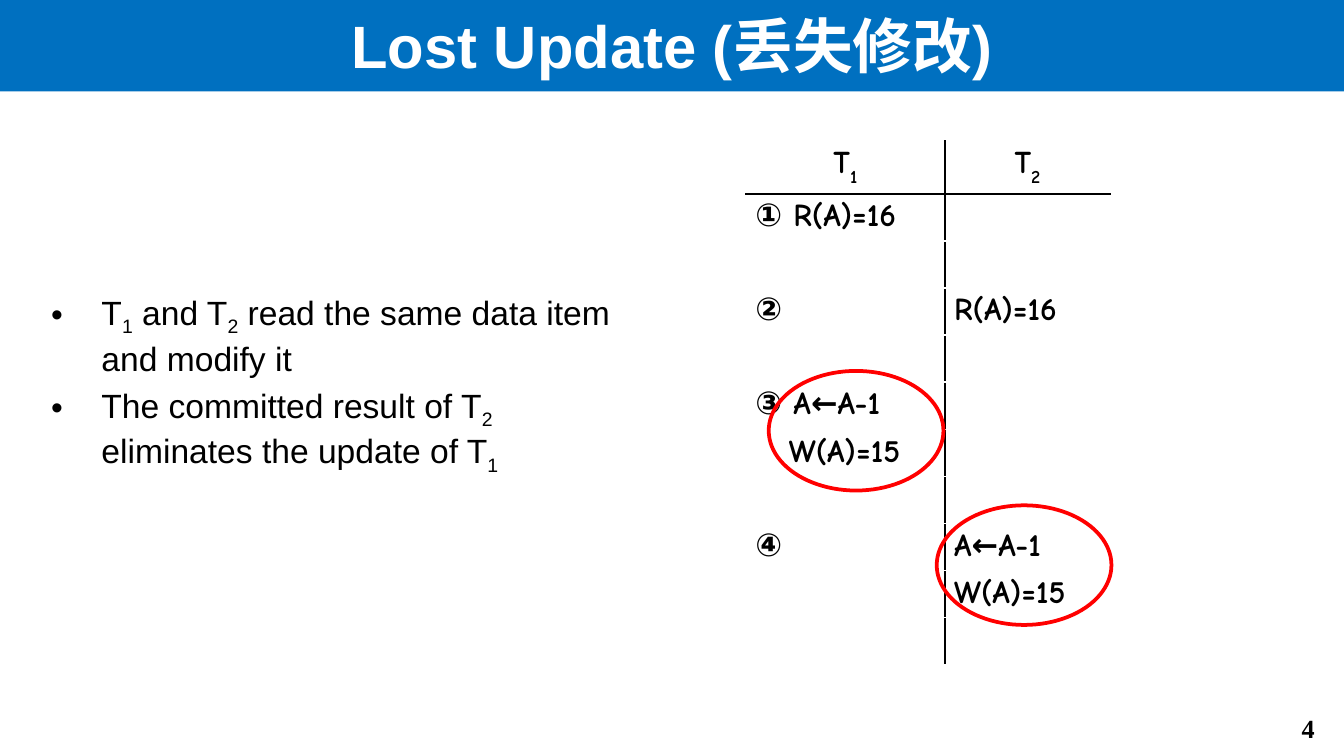
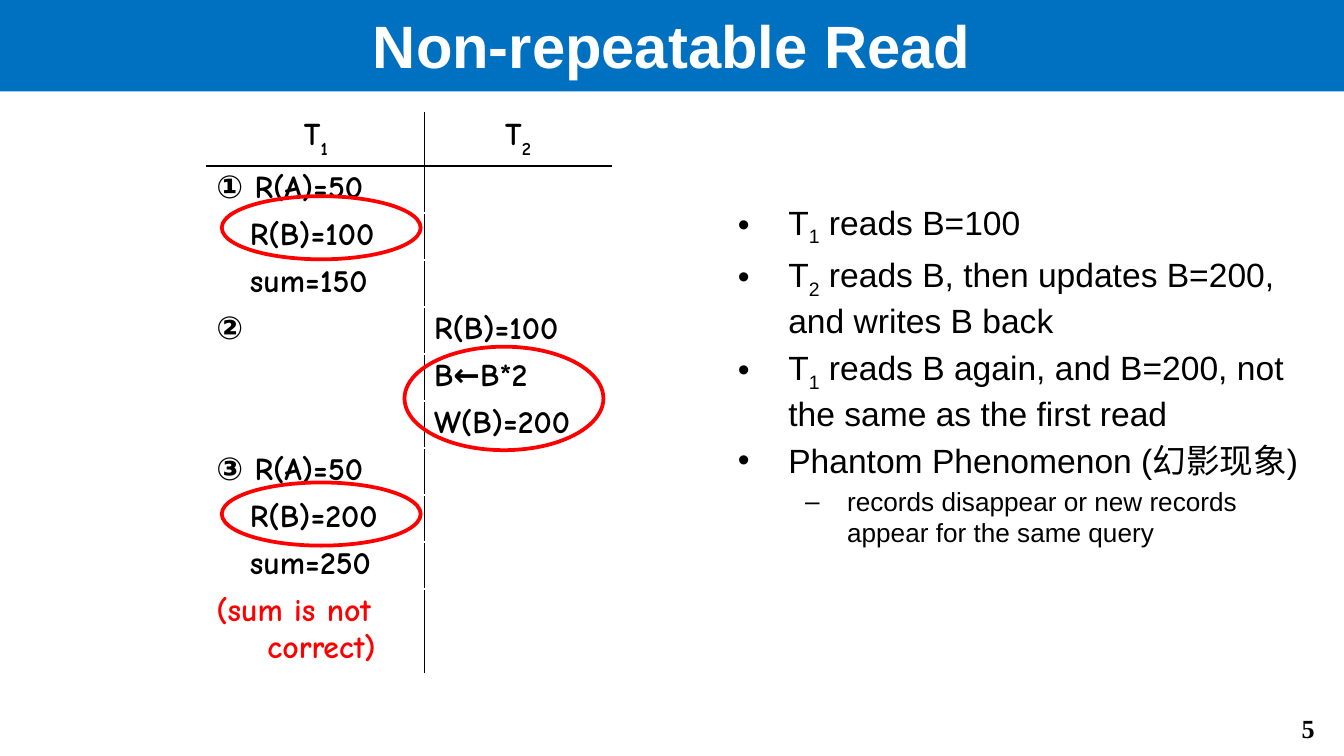
from lxml import etree
from pptx import Presentation
from pptx.dml.color import RGBColor
from pptx.enum.shapes import MSO_SHAPE
from pptx.enum.text import MSO_ANCHOR, MSO_AUTO_SIZE, PP_ALIGN
from pptx.oxml.ns import qn
from pptx.util import Inches, Pt

OVAL = MSO_SHAPE.OVAL
MIDDLE, TOP = MSO_ANCHOR.MIDDLE, MSO_ANCHOR.TOP
NO_AUTOFIT = MSO_AUTO_SIZE.NONE
LEFT, CENTER, RIGHT = PP_ALIGN.LEFT, PP_ALIGN.CENTER, PP_ALIGN.RIGHT

COLORS = {"band": "0070C0", "paper": "FFFFFF", "ink": "000000", "alert": "FF0000"}
BODY_FONT, TABLE_FONT, NUMBER_FONT = "Arial", "Comic Neue", "Times New Roman"
SLIDE_WIDTH, SLIDE_HEIGHT = 10, 10 * 9 / 16
TITLE_BOX = (0, -0.02, SLIDE_WIDTH, 0.7)
NUMBER_BOX = (9.25, 5.25, 0.63, 0.34)
ROW_HEIGHT = 0.35
HANGING, CONTINUED = (0.38, -0.38), (0.25, 0)

LOST_UPDATE = {
    "title": "Lost Update (丢失修改)",
    "number": 4,
    "body_box": (0.28, 2.12, 4.57, 1.8),
    "bullets": [
        (0, "T_1 and T_2 read the same data item and modify it"),
        (0, "The committed result of T_2 eliminates the update of T_1"),
    ],
    "schedule_box": (5.55, 1.05, 2.71, 3.85),
    "columns": (1.48, 1.23),
    "steps": [
        ("① R(A)=16", ""),
        ("", ""),
        ("②", "R(A)=16"),
        ("", ""),
        ("③ A←A-1", ""),
        ("+W(A)=15", ""),
        ("", ""),
        ("④", "A←A-1"),
        ("", "W(A)=15"),
        ("", ""),
    ],
    "rings": [(0.17, 1.71, 1.3, 0.89), (1.42, 2.71, 1.3, 0.89)],
}

NON_REPEATABLE_READ = {
    "title": "Non-repeatable Read",
    "number": 5,
    "body_box": (5.39, 1.45, 4.41, 2.99),
    "bullets": [
        (0, "T_1 reads B=100"),
        (0, "T_2 reads B, then updates B=200, and writes B back"),
        (0, "T_1 reads B again, and B=200, not the same as the first read"),
        (0, "Phantom Phenomenon (幻影现象)"),
        (1, "records disappear or new records appear for the same query"),
    ],
    "schedule_box": (1.54, 0.84, 3.01, 4.12),
    "columns": (1.62, 1.39),
    "steps": [
        ("① R(A)=50", ""),
        ("+R(B)=100", ""),
        ("+sum=150", ""),
        ("②", "R(B)=100"),
        ("", "B←B*2"),
        ("", "W(B)=200"),
        ("③ R(A)=50", ""),
        ("+R(B)=200", ""),
        ("+sum=250", ""),
        ("!(sum is not correct)", ""),
    ],
    "rings": [
        (1.47, 1.74, 1.48, 0.77),
        (0.11, 2.75, 1.48, 0.47),
        (0.11, 0.62, 1.48, 0.47),
    ],
}


def color(name):
    """Return a named colour."""
    return RGBColor.from_string(COLORS[name])


def place(shape, box):
    """Move and size a shape to a box in inches."""
    shape.left, shape.top, shape.width, shape.height = map(Inches, box)


def style(paragraph, font_name, size, color_name="ink", bold=False):
    """Set the font of a whole paragraph."""
    font = paragraph.font
    font.name, font.size, font.bold = font_name, Pt(size), bold
    font.color.rgb = color(color_name)


def write(paragraph, text, drop=-25):
    """Add text, lowering each character that follows an underscore."""
    first, *others = text.split("_")
    paragraph.add_run().text = first
    for part in others:
        subscript = paragraph.add_run()
        subscript.text = part[0]
        subscript._r.get_or_add_rPr().set("baseline", str(drop * 1000))
        if part[1:]:
            paragraph.add_run().text = part[1:]


def add_title(slide, text, box):
    """Fill the title band."""
    title = slide.shapes.title
    place(title, box)
    title.fill.solid()
    title.fill.fore_color.rgb = color("band")
    frame = title.text_frame
    frame.auto_size, frame.vertical_anchor = NO_AUTOFIT, MIDDLE
    paragraph = frame.paragraphs[0]
    write(paragraph, text)
    paragraph.alignment = CENTER
    style(paragraph, BODY_FONT, 32, "paper", True)


def add_bullets(slide, bullets, box):
    """Fill the body placeholder with bullets at two levels."""
    body = slide.placeholders[1]
    place(body, box)
    frame = body.text_frame
    frame.auto_size, frame.vertical_anchor = NO_AUTOFIT, TOP
    for index, (level, text) in enumerate(bullets):
        paragraph = frame.add_paragraph() if index else frame.paragraphs[0]
        size = 14 if level else 18
        paragraph.level = level
        paragraph.space_before = Pt(0.2 * size if index else 0)
        write(paragraph, text)
        style(paragraph, BODY_FONT, size)


def add_page_number(slide, number, box):
    """Write the page number at the lower right."""
    frame = slide.shapes.add_textbox(*map(Inches, box)).text_frame
    frame.word_wrap = True
    paragraph = frame.paragraphs[0]
    write(paragraph, str(number))
    paragraph.alignment = RIGHT
    style(paragraph, NUMBER_FONT, 14, bold=True)


def set_borders(cell, row, column):
    """Rule the header and the column divider, leaving other edges pale."""
    edges = {
        "L": "ink" if column == 1 else "paper",
        "R": "ink" if column == 0 else "paper",
        "T": "ink" if row == 1 else "paper",
        "B": "ink" if row == 0 else "paper",
    }
    properties = cell._tc.get_or_add_tcPr()
    for side, name in edges.items():
        line = etree.SubElement(properties, qn(f"a:ln{side}"), w=str(Pt(1)))
        fill = etree.SubElement(line, qn("a:solidFill"))
        etree.SubElement(fill, qn("a:srgbClr"), val=COLORS[name])


def fill_cell(cell, text, row, column):
    """Format a schedule cell; + marks a continued step and ! a warning."""
    set_borders(cell, row, column)
    cell.fill.background()
    cell.margin_left = cell.margin_right = Inches(0.07)
    cell.margin_top = cell.margin_bottom = Inches(0.03)
    paragraph = cell.text_frame.paragraphs[0]
    if not text:
        etree.SubElement(paragraph._p, qn("a:endParaRPr"), sz="1400")
        return
    margin, indent = CONTINUED if text[0] == "+" else HANGING
    properties = paragraph._p.get_or_add_pPr()
    properties.set("marL", str(Inches(margin)))
    properties.set("indent", str(Inches(indent)))
    paragraph.alignment = LEFT if row else CENTER
    write(paragraph, text.lstrip("+!"), -30)
    style(paragraph, TABLE_FONT, 17, "alert" if text[0] == "!" else "ink", True)


def add_schedule(slide, steps, columns, rings, box):
    """Draw the two-transaction schedule and ring its conflicting steps."""
    rows = [("T_1", "T_2"), *steps]
    frame = slide.shapes.add_table(len(rows), len(columns), *map(Inches, box))
    table = frame.table
    table.first_row = table.horz_banding = False
    for column, width in enumerate(columns):
        table.columns[column].width = Inches(width)
    for row, texts in enumerate(rows):
        table.rows[row].height = Inches(ROW_HEIGHT)
        for column, text in enumerate(texts):
            fill_cell(table.cell(row, column), text, row, column)
    table.rows[len(rows) - 1].height = Inches(box[3] - ROW_HEIGHT * len(steps))
    for left, top, width, height in rings:
        ring_box = (box[0] + left, box[1] + top, width, height)
        ring = slide.shapes.add_shape(OVAL, *map(Inches, ring_box))
        ring.shadow.inherit = False
        ring.fill.background()
        ring.line.color.rgb = color("alert")
        ring.line.width = Pt(2)


def add_anomaly_slide(presentation, content):
    """Build a slide that explains one concurrency anomaly."""
    slide = presentation.slides.add_slide(presentation.slide_layouts[1])
    slide.background.fill.solid()
    slide.background.fill.fore_color.rgb = color("paper")
    add_title(slide, content["title"], TITLE_BOX)
    add_bullets(slide, content["bullets"], content["body_box"])
    add_page_number(slide, content["number"], NUMBER_BOX)
    add_schedule(slide, content["steps"], content["columns"],
                 content["rings"], content["schedule_box"])


def main():
    """Build and save the presentation."""
    presentation = Presentation()
    presentation.slide_width = Inches(SLIDE_WIDTH)
    presentation.slide_height = Inches(SLIDE_HEIGHT)
    for content in (LOST_UPDATE, NON_REPEATABLE_READ):
        add_anomaly_slide(presentation, content)
    presentation.save("out.pptx")


if __name__ == "__main__":
    main()
